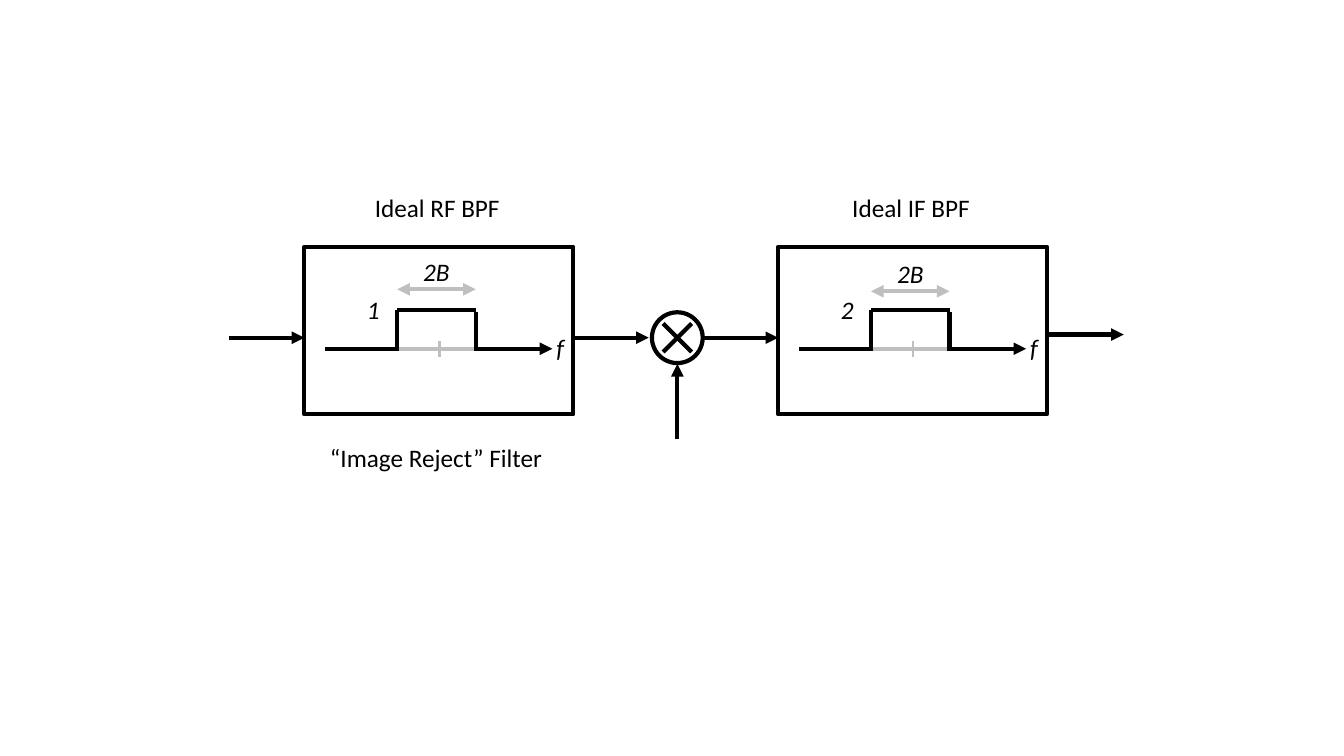
from pptx import Presentation
from pptx.dml.color import RGBColor
from pptx.enum.shapes import MSO_CONNECTOR, MSO_SHAPE
from pptx.enum.text import MSO_AUTO_SIZE, PP_ALIGN
from pptx.oxml.ns import qn
from pptx.util import Cm, Pt
from lxml.etree import SubElement

COLORS = {"black": "000000", "gray": "BFBFBF"}

presentation = Presentation()
presentation.slide_width, presentation.slide_height = Cm(33.87), Cm(19.05)
slide = presentation.slides.add_slide(presentation.slide_layouts[6])
shapes = slide.shapes


def add_line(x1, y1, x2, y2, color="black", width=3, arrows=()):
    """Draw a line in cm; arrows lists headEnd (start) and/or tailEnd (end)."""
    line = shapes.add_connector(MSO_CONNECTOR.STRAIGHT, Cm(x1), Cm(y1), Cm(x2), Cm(y2))
    line.line.color.rgb = RGBColor.from_string(COLORS[color])
    line.line.width = Pt(width)
    outline = line.line._get_or_add_ln()
    for end in arrows:
        SubElement(outline, qn(f"a:{end}"), type="triangle")
    SubElement(line._element.spPr, qn("a:effectLst"))


def add_label(text, center, top, width, italic=False):
    box = shapes.add_textbox(Cm(center - width / 2), Cm(top), Cm(width), Cm(1.02))
    frame = box.text_frame
    frame.text = text
    frame.word_wrap = False
    frame.auto_size = MSO_AUTO_SIZE.SHAPE_TO_FIT_TEXT
    paragraph = frame.paragraphs[0]
    paragraph.alignment = PP_ALIGN.CENTER
    font = paragraph.runs[0].font
    font.name, font.size, font.italic = "Calibri", Pt(18), italic
    font.color.rgb = RGBColor.from_string(COLORS["black"])


BOX_TOP, BOX_WIDTH, BOX_HEIGHT = 6.22, 6.78, 4.22
RF_LEFT, IF_LEFT = 7.67, 19.61
MIXER_X, MIXER_Y, MIXER_RADIUS = 17.07, 8.51, 0.64
AXIS_Y, PULSE_TOP, PULSE_WIDTH = 8.79, 7.82, 1.98
ARROW_LENGTH = 1.9

# Outlines of the two filters and the mixer
for kind, left, top, width, height in [
    (MSO_SHAPE.RECTANGLE, RF_LEFT, BOX_TOP, BOX_WIDTH, BOX_HEIGHT),
    (MSO_SHAPE.RECTANGLE, IF_LEFT, BOX_TOP, BOX_WIDTH, BOX_HEIGHT),
    (MSO_SHAPE.OVAL, MIXER_X - MIXER_RADIUS, MIXER_Y - MIXER_RADIUS,
     2 * MIXER_RADIUS, 2 * MIXER_RADIUS),
]:
    block = shapes.add_shape(kind, Cm(left), Cm(top), Cm(width), Cm(height))
    block.shadow.inherit = False
    block.fill.background()
    block.line.color.rgb = RGBColor.from_string(COLORS["black"])
    block.line.width = Pt(3)

# Multiplication cross
CROSS = 0.36
for rise in (CROSS, -CROSS):
    add_line(MIXER_X - CROSS, MIXER_Y - rise, MIXER_X + CROSS, MIXER_Y + rise)

# Signal path from left to right, then the oscillator input
for start, y in [
    (RF_LEFT - ARROW_LENGTH, MIXER_Y),
    (RF_LEFT + BOX_WIDTH, MIXER_Y),
    (MIXER_X + MIXER_RADIUS, MIXER_Y),
    (IF_LEFT + BOX_WIDTH + 0.03, 8.43),
]:
    add_line(start, y, start + ARROW_LENGTH, y, arrows=["tailEnd"])
add_line(MIXER_X, 11.07, MIXER_X, 11.07 - ARROW_LENGTH, arrows=["tailEnd"])

# Frequency response inside each filter
for left, title, title_width, level, span_y in [
    (RF_LEFT, "Ideal RF BPF", 3.68, "1", 7.29),
    (IF_LEFT, "Ideal IF BPF", 3.51, "2", 7.34),
]:
    pulse_left = left + 2.34
    pulse_right = pulse_left + PULSE_WIDTH
    pulse_center = pulse_left + PULSE_WIDTH / 2
    tick_x = left + 3.4
    add_line(left + 0.53, AXIS_Y, left + 6.25, AXIS_Y, arrows=["tailEnd"])
    add_line(pulse_left + 0.05, AXIS_Y, pulse_right + 0.05, AXIS_Y, "gray")
    add_line(tick_x, AXIS_Y + 0.2, tick_x, AXIS_Y - 0.2, "gray", 2)
    add_line(pulse_left, PULSE_TOP, pulse_left, AXIS_Y + 0.03)
    add_line(pulse_left, PULSE_TOP, pulse_right, PULSE_TOP)
    add_line(pulse_right, PULSE_TOP + 0.03, pulse_right, AXIS_Y + 0.05)
    add_line(pulse_left, span_y, pulse_right, span_y, "gray",
             arrows=["headEnd", "tailEnd"])
    add_label(title, left + 3.35, 4.72, title_width)
    add_label("2B", pulse_center, span_y - 0.96, 1.19, italic=True)
    add_label(level, left + 1.74, 7.29, 0.84, italic=True)
    add_label("f", left + 6.45, 8.26, 0.71, italic=True)

add_label("“Image Reject” Filter", RF_LEFT + 3.32, 11.02, 5.92)

presentation.save("out.pptx")
